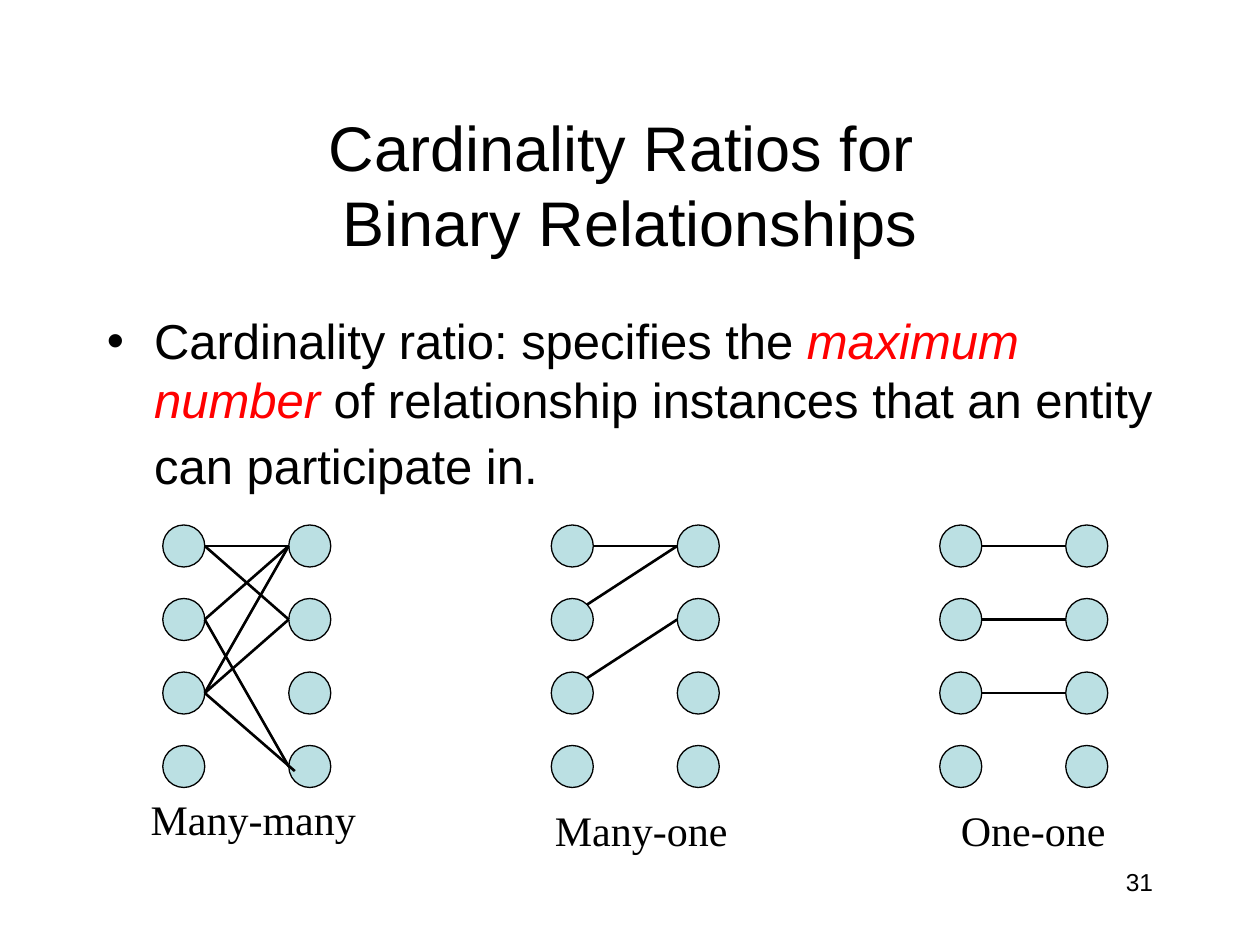
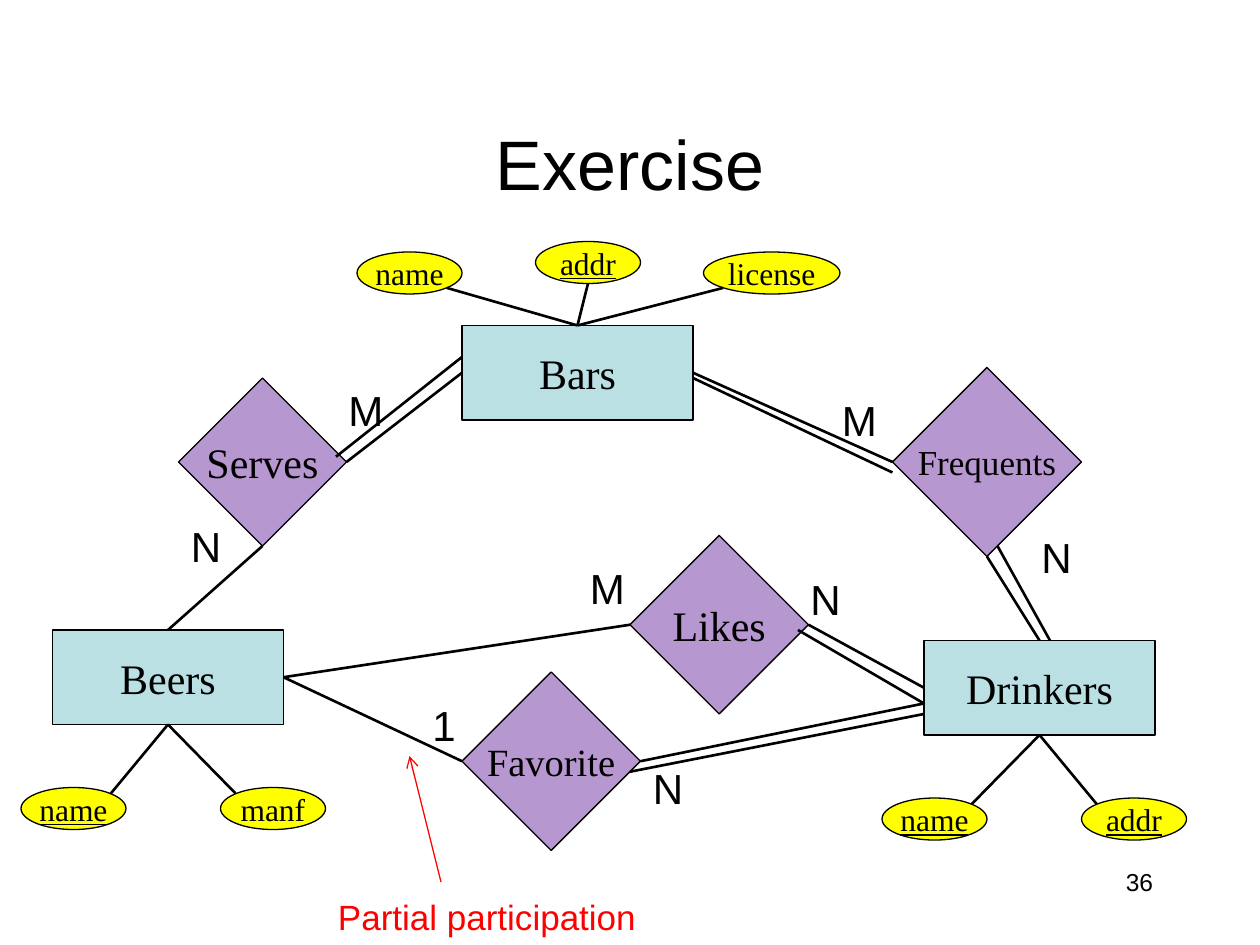
import lxml.etree
import pptx
import pptx.dml.color
import pptx.enum.shapes
import pptx.enum.text
import pptx.oxml.ns
import pptx.util

Pt = pptx.util.Pt
ALIGN = pptx.enum.text.PP_ALIGN
ANCHOR = pptx.enum.text.MSO_ANCHOR
SHAPE = pptx.enum.shapes.MSO_SHAPE
DIAGONAL = 0.71


def color(value):
    return pptx.dml.color.RGBColor.from_string(value)


def add_xml(parent, tag, **attributes):
    return lxml.etree.SubElement(parent, pptx.oxml.ns.qn(tag), attributes)


def edge(sp, x, y):
    return (
        (sp.left + sp.width * (1 + x) / 2) / Pt(1),
        (sp.top + sp.height * (1 + y) / 2) / Pt(1),
    )


class Deck:
    SANS = "Arial"
    SERIF = "Times New Roman"
    BLACK = "000000"
    RED = "FF0000"
    BLUE = "BBE0E3"
    YELLOW = "FFFF00"
    PURPLE = "7030A0"

    def __init__(self):
        self.prs = pptx.Presentation()
        self.prs.slide_width = Pt(720)
        self.prs.slide_height = Pt(540)

    def slide(self, title, title_top, title_size, number):
        self.s = self.prs.slides.add_slide(self.prs.slide_layouts[6])
        self.text(516, 492, 150, 36, str(number), 14, align=ALIGN.RIGHT)
        self.text(54, title_top, 612, 90, title, title_size,
                  align=ALIGN.CENTER, anchor=ANCHOR.MIDDLE)

    def run(self, p, text, size, font=SANS, fill=BLACK, italic=False, underline=False):
        r = p.add_run()
        r.text = text
        r.font.name = font
        r.font.size = Pt(size)
        r.font.color.rgb = color(fill)
        r.font.italic = italic
        r.font.underline = underline

    def text(self, x, y, w, h, text, size, align=ALIGN.LEFT,
             anchor=ANCHOR.TOP, wrap=True, **style):
        sp = self.s.shapes.add_textbox(Pt(x), Pt(y), Pt(w), Pt(h))
        tf = sp.text_frame
        tf.word_wrap = wrap
        tf.vertical_anchor = anchor
        p = tf.paragraphs[0]
        p.alignment = align
        for i, line in enumerate(text.split("\n")):
            if i:
                p.add_line_break()
            self.run(p, line, size, **style)

    def bullet(self, x, y, w, h, runs):
        sp = self.s.shapes.add_textbox(Pt(x), Pt(y), Pt(w), Pt(h))
        tf = sp.text_frame
        tf.word_wrap = True
        p = tf.paragraphs[0]
        pPr = p._p.get_or_add_pPr()
        pPr.set("marL", str(Pt(27)))
        pPr.set("indent", str(-Pt(27)))
        add_xml(pPr, "a:buFont", typeface=self.SANS)
        add_xml(pPr, "a:buChar", char="•")
        for text, size, style in runs:
            self.run(p, text, size, **style)

    def shape(self, kind, x, y, w, h, fill, text="", size=24, underline=False, alpha=None):
        sp = self.s.shapes.add_shape(kind, Pt(x), Pt(y), Pt(w), Pt(h))
        sp.shadow.inherit = False
        sp.fill.solid()
        sp.fill.fore_color.rgb = color(fill)
        if alpha:
            clr = sp.fill._xPr.find(".//" + pptx.oxml.ns.qn("a:srgbClr"))
            add_xml(clr, "a:alpha", val=str(alpha * 1000))
        sp.line.color.rgb = color(self.BLACK)
        sp.line.width = Pt(0.75)
        if text:
            tf = sp.text_frame
            tf.word_wrap = False
            tf.vertical_anchor = ANCHOR.MIDDLE
            p = tf.paragraphs[0]
            p.alignment = ALIGN.CENTER
            self.run(p, text, size, font=self.SERIF, underline=underline)
        return sp

    def dot(self, x, y):
        return self.shape(SHAPE.OVAL, x, y, 24, 24, self.BLUE)

    def entity(self, x, y, text):
        return self.shape(SHAPE.RECTANGLE, x, y, 132, 54, self.BLUE, text)

    def relationship(self, x, y, side, text, size=24):
        return self.shape(SHAPE.DIAMOND, x, y, side, side, self.PURPLE, text, size, alpha=50)

    def attribute(self, x, y, text, key=False, w=60):
        return self.shape(SHAPE.OVAL, x, y, w, 24, self.YELLOW, text, 18, key)

    def line(self, start, end, stroke=BLACK, width=1.5, arrow=False):
        sp = self.s.shapes.add_connector(
            pptx.enum.shapes.MSO_CONNECTOR.STRAIGHT, *map(Pt, start + end))
        sp.line.color.rgb = color(stroke)
        sp.line.width = Pt(width)
        if arrow:
            add_xml(sp.line._get_or_add_ln(), "a:tailEnd", type="arrow")
        add_xml(sp._element.spPr, "a:effectLst")


def cardinality_slide(d):
    d.slide("Cardinality Ratios for \nBinary Relationships", 60, 36, 31)
    d.bullet(54, 174, 612, 306, [
        ("Cardinality ratio: specifies the ", 28, {}),
        ("maximum number", 28, {"fill": d.RED, "italic": True}),
        (" of relationship instances that an entity can participate in.", 28, {}),
        (" ", 32, {}),
    ])
    right, left, corner = (1, 0), (-1, 0), (DIAGONAL, -DIAGONAL)
    ratios = [
        ("Many-many", 79, 450, 132, [
            (0, 0, right, left), (1, 0, right, left), (2, 0, right, left),
            (0, 1, right, left), (1, 3, right, left), (2, 1, right, left),
            (2, 3, right, (-DIAGONAL, 0.22))]),
        ("Many-one", 310, 456, 113, [
            (0, 0, right, left), (1, 0, corner, left), (2, 1, corner, left)]),
        ("One-one", 542, 456, 97, [(i, i, right, left) for i in range(3)]),
    ]
    for i, (label, x, y, w, links) in enumerate(ratios):
        sources, targets = (
            [d.dot(93 + 222 * i + dx, 300 + 42 * row) for row in range(4)]
            for dx in (0, 72))
        for a, b, start, end in links:
            d.line(edge(sources[a], *start), edge(targets[b], *end))
        d.text(x, y, w, 36, label, 24, wrap=False, font=d.SERIF)


def exercise_slide(d):
    d.slide("Exercise", 48, 40, 36)
    beers = d.entity(30, 360, "Beers")
    drinkers = d.entity(528, 366, "Drinkers")
    bars = d.entity(264, 186, "Bars")
    serves = d.relationship(102, 216, 96, "Serves")
    frequents = d.relationship(510, 210, 108, "Frequents", 20)
    likes = d.relationship(360, 306, 102, "Likes")
    favorite = d.relationship(264, 384, 102, "Favorite", 22)

    for owner, side, attributes in [
        (bars, -1, [((204, 144, "name"), (DIAGONAL, DIAGONAL)),
                    ((306, 138, "addr", True), (0, 1)),
                    ((402, 144, "license", False, 78), (-DIAGONAL, DIAGONAL))]),
        (beers, 1, [((12, 450, "name", True), (DIAGONAL, -DIAGONAL)),
                    ((126, 450, "manf"), (-DIAGONAL, -DIAGONAL))]),
        (drinkers, 1, [((504, 456, "name", True), (DIAGONAL, -DIAGONAL)),
                       ((618, 456, "addr", True), (-DIAGONAL, -DIAGONAL))]),
    ]:
        for args, site in attributes:
            d.line(edge(d.attribute(*args), *site), edge(owner, 0, side))

    for start, end in [
        (edge(beers, 1, 0), edge(likes, -1, 0)),
        (edge(likes, 1, 0), edge(drinkers, -1, 0)),
        (edge(drinkers, 0, -1), edge(frequents, 0, 1)),
        (edge(beers, 0, -1), edge(serves, 0, 1)),
        (edge(serves, 1, 0), edge(bars, -1, 0)),
        (edge(frequents, -1, 0), edge(bars, 1, 0)),
        (edge(favorite, -1, 0), edge(beers, 1, 0)),
        (edge(favorite, 1, 0), (528, 402)),
        ((192, 261), (264, 204)),
        ((600, 366), (570, 312)),
        ((528, 402), (456, 360)),
        ((360, 441), (528, 408)),
        ((510, 270), (396, 216)),
    ]:
        d.line(start, end)

    for x, y, cardinality in [
        (192, 216, "M"), (102, 294, "N"), (474, 222, "M"), (588, 300, "N"),
        (330, 318, "M"), (456, 324, "N"), (366, 432, "N"), (240, 396, "1"),
    ]:
        d.text(x, y, 30, 36, cardinality, 24)

    d.text(186, 508, 198, 32, "Partial participation", 20, fill=d.RED)
    d.line((252, 504), (234, 432), d.RED, 0.75, arrow=True)


def main():
    d = Deck()
    cardinality_slide(d)
    exercise_slide(d)
    d.prs.save("out.pptx")


if __name__ == "__main__":
    main()
